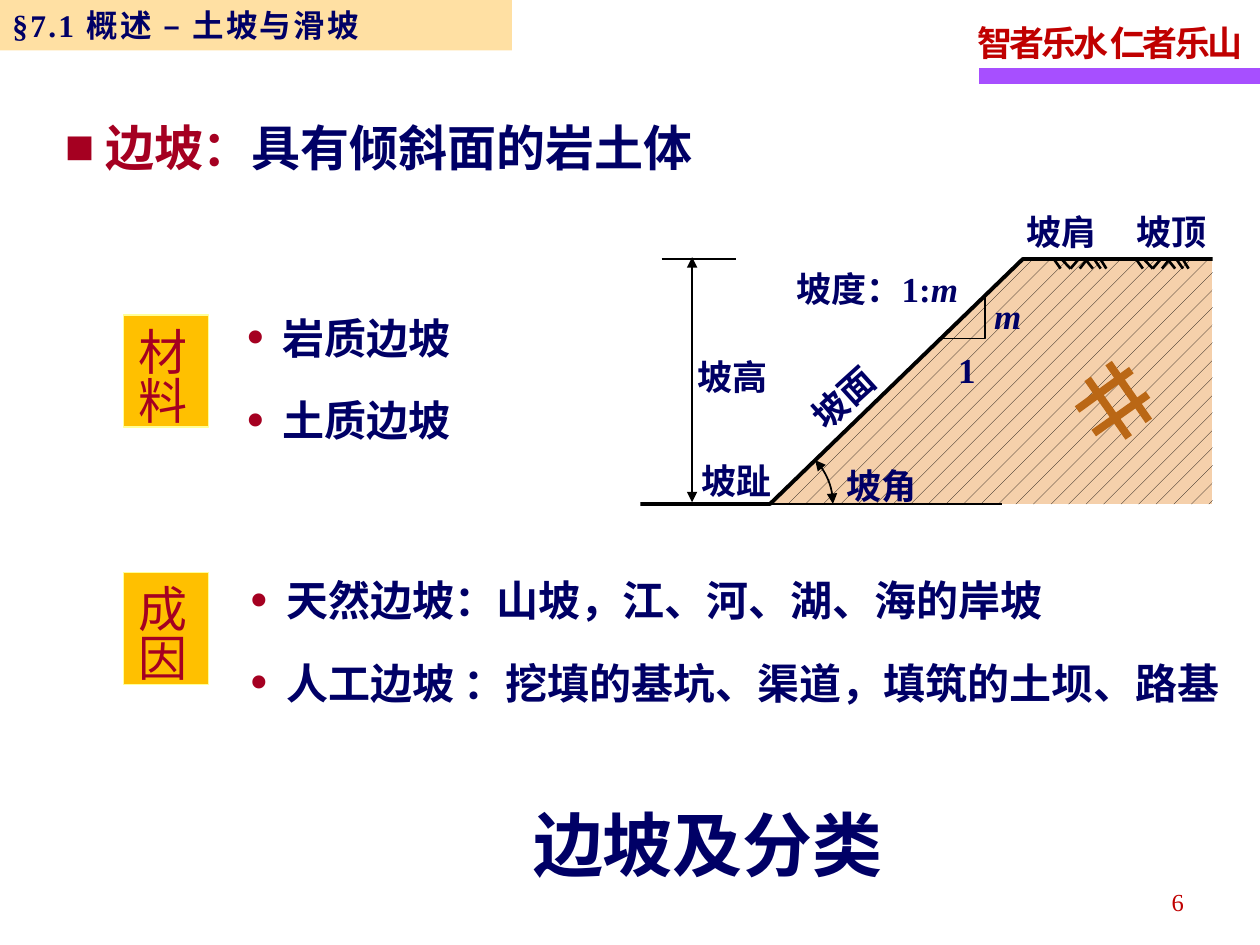
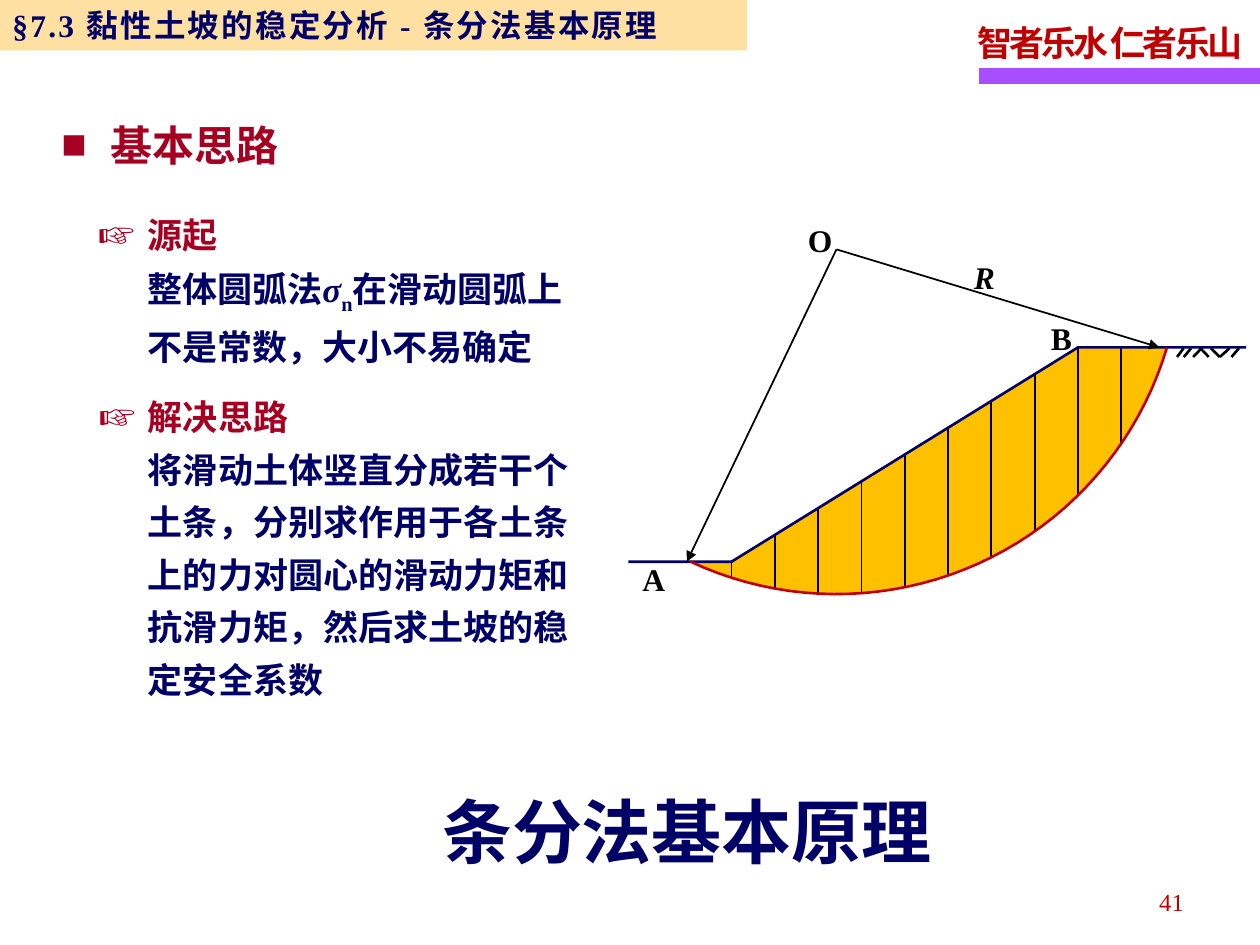
from math import asin, atan2, cos, pi, sin, sqrt

from lxml import etree
from pptx import Presentation
from pptx.dml.color import RGBColor
from pptx.enum.dml import MSO_PATTERN
from pptx.enum.shapes import MSO_CONNECTOR, MSO_SHAPE
from pptx.enum.text import MSO_ANCHOR, PP_ALIGN
from pptx.oxml.ns import qn
from pptx.util import Pt

LEFT, CENTER, RIGHT = PP_ALIGN.LEFT, PP_ALIGN.CENTER, PP_ALIGN.RIGHT
TOP, MIDDLE = MSO_ANCHOR.TOP, MSO_ANCHOR.MIDDLE
RECTANGLE, STRAIGHT = MSO_SHAPE.RECTANGLE, MSO_CONNECTOR.STRAIGHT
DOTTED = MSO_PATTERN.PERCENT_5

SERIF, SANS = "Times New Roman", "Noto Sans CJK SC"
NAVY, CRIMSON, RED, BLACK = "000066", "A50021", "C00000", "000000"
PURPLE, SAND, GOLD, PALE = "A74FFF", "FFCC66", "FFC000", "FFFF99"
EARTH, BROWN = "F5D0AB", "BA6715"

MOTTO = "智者乐水 仁者乐山"
SLOPE_PAGE = {"section": "§7.1 概述 – 土坡与滑坡", "band": 292.5, "number": "6",
              "title": "边坡及分类", "title_box": (213, 454.5, 383, 55.5)}
SLICE_PAGE = {"section": "§7.3 黏性土坡的稳定分析 - 条分法基本原理", "band": 427, "number": "41",
              "title": "条分法基本原理", "title_box": (164, 447, 457, 55.5)}

DEFINITION = [("边坡：", {"color": CRIMSON, "font": SANS}), ("具有倾斜面的岩土体", {})]
CLASSES = [
    ("材料", 180, (140.5, 164, 144, 91.5), ["岩质边坡", "土质边坡"]),
    ("成因", 327, (142.5, 314, 563, 91.5),
     ["天然边坡：山坡，江、河、湖、海的岸坡", "人工边坡 ：挖填的基坑、渠道，填筑的土坝、路基"]),
]
SLOPE_LABELS = [
    ([("坡肩", {})], (579.5, 113, 60, 35)),
    ([("坡顶", {})], (642.5, 113, 60, 35)),
    ([("坡角", {})], (476.5, 258, 73, 35)),
    ([("坡趾", {})], (394, 255.5, 69, 35)),
    ([("坡度：1:", {}), ("m", {"italic": True})], (448, 145.5, 124, 32.5)),
    ([("1", {})], (540.5, 192, 25, 32.5)),
    ([("m", {"italic": True})], (561, 161, 27, 33)),
]
FACE_LABEL = ("坡面", (453, 217.5, 60.5, 22.5), 317.8, 0.7)
HEIGHT_LABEL = ("坡高", (389, 204, 59, 24.5), 0, 0.8)
CRIB_STROKES = [(621.5, 216.5, 645, 250), (633.5, 207.5, 656.5, 240.5),
                (615.5, 234, 646.5, 211.5), (625, 247.5, 656, 225.5)]
GRASS_BLADES = [(0, 3.6), (4.5, 9.2), (13.5, 9.2), (18.5, 14.5), (18, 22), (23, 26.5), (26.6, 29.7)]

SLICE_LABELS = [("A", (360, 313, 52, 30), False), ("O", (454.5, 119.5, 32.5, 32.5), False),
                ("B", (593.5, 175.5, 35.5, 30), False), ("R", (549.5, 140.5, 27.5, 30), True)]
IDEAS = [
    ((42.5, 112.5, 298, 98), "源起",
     [("整体圆弧法", {}), ("σ", {"italic": True}), ("n", {"baseline": -25}),
      ("在滑动圆弧上不是常数，大小不易确定", {})]),
    ((43, 216.5, 307.5, 189.5), "解决思路",
     [("将滑动土体竖直分成若干个土条，分别求作用于各土条上的力对圆心的滑动力矩和抗滑力矩，"
       "然后求土坡的稳定安全系数", {})]),
]


def color_of(code):
    return RGBColor.from_string(code)


def points(values):
    return [Pt(value) for value in values]


def add_xml(parent, tag, **attributes):
    return etree.SubElement(parent, qn(tag), attributes)


def style_span(span, size, color=NAVY, font=SERIF, bold=True, italic=False, spacing=0, baseline=0):
    span.font.size = Pt(size)
    span.font.bold = bold
    span.font.italic = italic
    span.font.color.rgb = color_of(color)
    span.font.name = font
    properties = span.font._element
    add_xml(properties, "a:ea", typeface=SANS)
    if spacing:
        properties.set("spc", str(round(spacing * 100)))
    if baseline:
        properties.set("baseline", str(baseline * 1000))


def fill_para(para, spans, size, align=LEFT, line=1.0, before=0, after=0,
              indent=0, hang=0, bullet=None, bullet_size=100, **style):
    properties = para._p.get_or_add_pPr()
    properties.set("marL", str(Pt(indent)))
    properties.set("indent", str(Pt(-hang)))
    if bullet:
        add_xml(add_xml(properties, "a:buClr"), "a:srgbClr", val=CRIMSON)
        add_xml(properties, "a:buSzPct", val=str(bullet_size * 1000))
        add_xml(properties, "a:buFont", typeface=SERIF)
        add_xml(properties, "a:buChar", char=bullet)
    para.alignment = align
    para.line_spacing = line
    para.space_before, para.space_after = Pt(before), Pt(after)
    for words, changes in spans:
        span = para.add_run()
        span.text = words
        style_span(span, size, **{**style, **changes})


def set_frame(frame, anchor=TOP, inset=(7.2, 3.6), wrap=True):
    frame.word_wrap = wrap
    frame.vertical_anchor = anchor
    frame.margin_left = frame.margin_right = Pt(inset[0])
    frame.margin_top = frame.margin_bottom = Pt(inset[1])


def add_text(page, place, spans, size, rotation=0, inset=(7.2, 3.6), **format):
    box = page.shapes.add_textbox(*points(place))
    box.rotation = rotation
    set_frame(box.text_frame, inset=inset)
    fill_para(box.text_frame.paragraphs[0], spans, size, **format)
    return box.text_frame


def paint(shape, fill=None, line=None, width=1):
    shape.shadow.inherit = False
    if fill:
        shape.fill.solid()
        shape.fill.fore_color.rgb = color_of(fill)
    else:
        shape.fill.background()
    if line:
        shape.line.color.rgb = color_of(line)
        shape.line.width = Pt(width)
    else:
        shape.line.fill.background()


def add_box(page, place, fill, line=None, width=0.75):
    box = page.shapes.add_shape(RECTANGLE, *points(place))
    paint(box, fill, line, width)
    set_frame(box.text_frame, MIDDLE)
    return box


def add_arrows(shape, ends):
    for end in ends:
        add_xml(shape.line._get_or_add_ln(), f"a:{end}End", type="triangle")


def add_line(page, start_x, start_y, end_x, end_y, width=1, color=BLACK, arrows=()):
    line = page.shapes.add_connector(STRAIGHT, *points((start_x, start_y, end_x, end_y)))
    line.line.color.rgb = color_of(color)
    line.line.width = Pt(width)
    add_arrows(line, arrows)
    add_xml(line._element.spPr, "a:effectLst")


def add_outline(page, corners, fill=None, line=None, width=1, arrows=()):
    corners = [points(corner) for corner in corners]
    builder = page.shapes.build_freeform(*corners[0], scale=1.0)
    builder.add_line_segments(corners[1:], close=fill is not None)
    outline = builder.convert_to_shape()
    paint(outline, fill, line, width)
    add_arrows(outline, arrows)
    return outline


def arc_points(center, radius, start, end, steps=40):
    angles = [start + (end - start) * step / steps for step in range(steps + 1)]
    return [(center[0] + radius * cos(angle), center[1] + radius * sin(angle)) for angle in angles]


def add_grass(page, left, top, stretch=1):
    for tip, root in GRASS_BLADES:
        add_line(page, left + tip * stretch, top, left + root * stretch, top + 5, 1.5)


def add_page(deck, content):
    page = deck.slides.add_slide(deck.slide_layouts[5])
    add_box(page, (559.5, 39, 160.5, 9), PURPLE)
    add_text(page, (558.5, 5, 161.5, 35), [(MOTTO, {})], 20, inset=(0, 3.6),
             line=1.15, color=RED, spacing=-1.7)
    band = add_box(page, (0, 0, content["band"], 28.8), SAND)
    add_xml(band.fill._xPr.find(".//" + qn("a:srgbClr")), "a:alpha", val="60000")
    fill_para(band.text_frame.paragraphs[0], [(content["section"], {})], 18, spacing=1.3)
    add_text(page, (515.5, 501, 168, 29), [(content["number"], {})], 14,
             align=RIGHT, line=1.15, color=RED, bold=False)
    title = page.shapes.title
    title.left, title.top, title.width, title.height = points(content["title_box"])
    set_frame(title.text_frame, MIDDLE)
    fill_para(title.text_frame.paragraphs[0], [(content["title"], {})], 40, align=CENTER, font=SANS)
    return page


def draw_slope(page):
    toe, crest, ground_left, ground_right = (440, 288), (584.5, 148), 366, 693
    base, top = toe[1], crest[1]
    earth = add_outline(page, [toe, (ground_right, base), (ground_right, top), crest], EARTH)
    earth.fill.patterned()
    earth.fill.pattern = DOTTED
    earth.fill.fore_color.rgb = color_of(BLACK)
    earth.fill.back_color.rgb = color_of(EARTH)
    add_line(page, *toe, 572.5, base)
    slope_angle = atan2(top - base, crest[0] - toe[0])
    add_outline(page, arc_points(toe, 36, slope_angle, 0), line=BLACK, arrows=("head", "tail"))
    for stroke in CRIB_STROKES:
        add_line(page, *stroke, 4.5, BROWN)
    add_line(page, 395.5, top - 1, 395.5, base - 1, arrows=("head", "tail"))
    add_line(page, 378, top, 420.5, top)
    for left in (602.5, 649.5):
        add_grass(page, left, top + 0.5)
    add_outline(page, [(ground_right, top), crest, toe, (ground_left, base)], line=BLACK, width=2.25)
    add_outline(page, [(563, 170), (563, 193.5), (537, 193.5)], line=BLACK)
    for spans, place in SLOPE_LABELS:
        add_text(page, place, spans, 20, line=1.15)
    for words, place, rotation, line in (FACE_LABEL, HEIGHT_LABEL):
        add_text(page, place, [(words, {})], 20, rotation, align=CENTER, line=line)


def draw_slices(page):
    center, radius = (478, 142.5), 197
    toe, crest = (418, 321), (616, 198.5)
    reach = [sqrt(radius ** 2 - (y - center[1]) ** 2) for y in (toe[1], crest[1])]
    entry, exit_point = (center[0] - reach[0], toe[1]), (center[0] + reach[1], crest[1])
    slip = arc_points(center, radius, pi - asin((toe[1] - center[1]) / radius),
                      asin((crest[1] - center[1]) / radius))
    add_outline(page, [entry, toe, crest, exit_point] + slip[::-1], GOLD)
    step = (crest[0] - toe[0]) / 8
    for index in range(10):
        x = toe[0] + index * step
        surface = max(crest[1], toe[1] + (crest[1] - toe[1]) * index / 8)
        add_line(page, x, surface, x, center[1] + sqrt(radius ** 2 - (x - center[0]) ** 2))
    add_outline(page, [(359, toe[1]), toe, crest, (712, crest[1])], line=NAVY, width=1.5)
    for target in ((662.5, crest[1]), (392.5, toe[1])):
        add_line(page, *center, *target, arrows=("tail",))
    add_grass(page, 708, crest[1] + 0.5, -1.19)
    add_outline(page, slip, line=RED, width=1.5)
    for words, place, italic in SLICE_LABELS:
        add_text(page, place, [(words, {})], 18, line=1.15, color=BLACK, italic=italic)


def build_slope_page(deck):
    page = add_page(deck, SLOPE_PAGE)
    draw_slope(page)
    add_text(page, (30, 63.5, 489, 41), DEFINITION, 28, bullet="■", indent=23, hang=23)
    for name, top, place, entries in CLASSES:
        tag = add_box(page, (70.5, top, 48.5, 64), GOLD, PALE)
        set_frame(tag.text_frame, MIDDLE, wrap=False)
        tag.text_frame._txBody.bodyPr.set("vert", "eaVert")
        fill_para(tag.text_frame.paragraphs[0], [(name, {})], 28, line=1.15,
                  color=CRIMSON, font=SANS, bold=False)
        listing = {"size": 24, "line": 1.5, "after": 2, "indent": 21, "hang": 21,
                   "bullet": "•", "bullet_size": 130}
        frame = add_text(page, place, [(entries[0], {})], inset=(0, 0), **listing)
        fill_para(frame.add_paragraph(), [(entries[1], {})], before=2, **listing)


def build_slice_page(deck):
    page = add_page(deck, SLICE_PAGE)
    draw_slices(page)
    add_text(page, (28, 59, 178.5, 39), [("基本思路", {})], 24, line=1.2, indent=28, hang=28,
             bullet="■", color=CRIMSON, font=SANS)
    for place, heading, spans in IDEAS:
        frame = add_text(page, place, [(heading, {})], 20, line=1.25, indent=34.5, hang=28,
                         bullet="☞", bullet_size=130, color=CRIMSON, font=SANS)
        fill_para(frame.add_paragraph(), spans, 20, line=1.25, indent=34.5)


def main():
    deck = Presentation()
    deck.slide_width, deck.slide_height = points((720, 540))
    build_slope_page(deck)
    build_slice_page(deck)
    deck.save("out.pptx")


if __name__ == "__main__":
    main()
